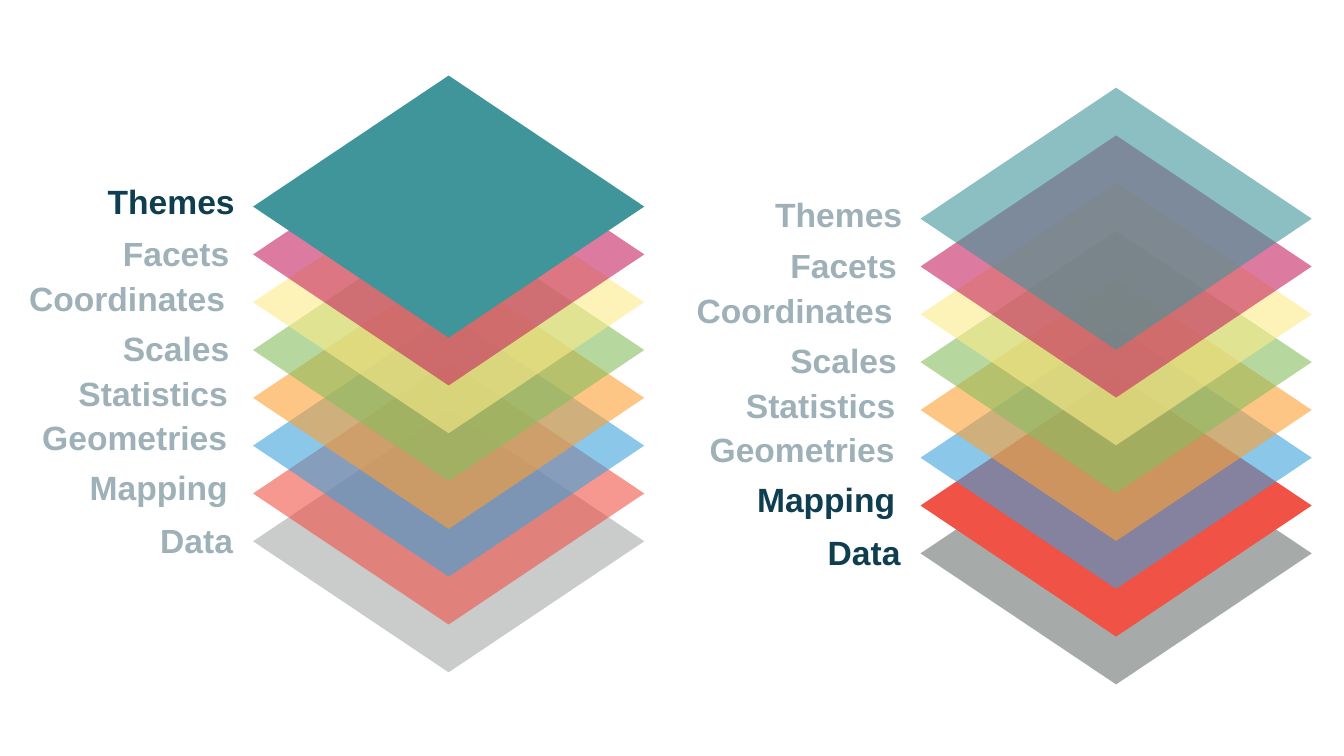
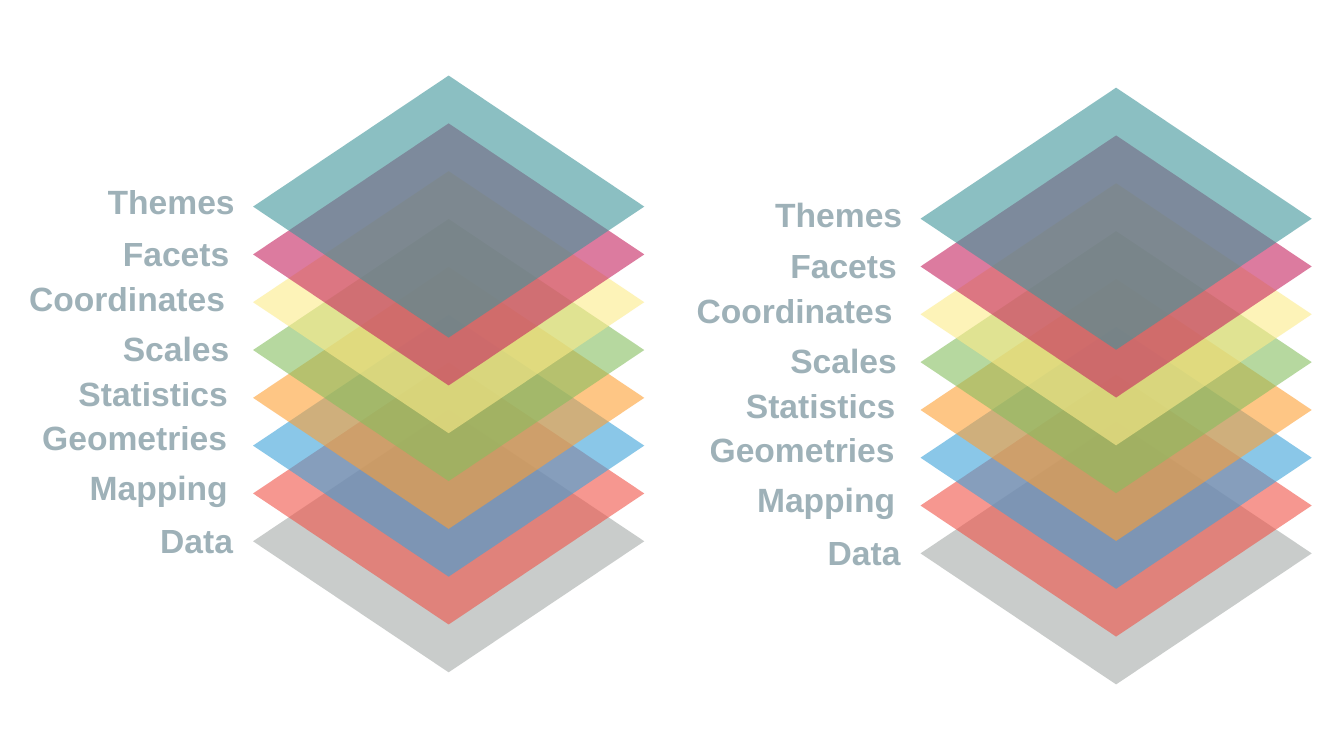
from pptx import Presentation
from pptx.dml.color import RGBColor
from pptx.enum.shapes import MSO_SHAPE
from pptx.enum.text import MSO_AUTO_SIZE
from pptx.oxml.ns import qn
from pptx.util import Pt
from lxml.etree import SubElement

PX = 9144  # EMU per px, 100 px to the inch

# Layers from bottom to top: name, fill, label top within the stack, label width
LAYERS = [
    ("Data", "A6AAA9", 436, 95),
    ("Mapping", "F05246", 383, 165),
    ("Geometries", "3CA3DA", 334, 212),
    ("Statistics", "FEA035", 290, 176),
    ("Scales", "86BF5F", 245, 132),
    ("Coordinates", "FDEB8A", 196, 225),
    ("Facets", "C6235F", 151, 132),
    ("Themes", "3F959A", 100, 147),
]

# Left and top of the two stacks on every slide
STACKS = [(251, 75), (913, 87)]

# Highlighted layers: one entry per slide, one set per stack
SLIDES = [
    [{"Themes"}, {"Data", "Mapping"}],
    [set(), set()],
]


def emu(*lengths):
    return [round(v * PX) for v in lengths]


def rgb(value):
    return RGBColor.from_string(value)


def set_opacity(element, percent):
    """Make the colours already set inside an element translucent."""
    if percent < 100:
        for color in element.iter(qn("a:srgbClr")):
            SubElement(color, qn("a:alpha"), val=str(percent * 1000))


def add_text(tf, text, size=24, color="0E3E4F", bold=True, font="Arial", opacity=100):
    r = tf.paragraphs[0].add_run()
    r.text = text
    r.font.name, r.font.size, r.font.bold = font, Pt(size), bold
    r.font.color.rgb = rgb(color)
    set_opacity(tf.paragraphs[0].runs[0].font.fill and tf._element, opacity)


class Deck:
    TILE_W, TILE_H = 388, 260
    RISE = 332 / 7  # vertical step between layers
    LABEL_H, LABEL_GAP = 50, 7
    TILE_OPACITY, LABEL_OPACITY = 60, 40

    def __init__(self):
        self.prs = Presentation()
        self.prs.slide_width, self.prs.slide_height = emu(1333, 750)
        self.s = None

    def new_slide(self):
        self.s = self.prs.slides.add_slide(self.prs.slide_layouts[6])

    def tile(self, shapes, x, y, color, opacity):
        sp = shapes.add_shape(MSO_SHAPE.FLOWCHART_DECISION,
                              *emu(x, y, self.TILE_W, self.TILE_H))
        sp.shadow.inherit = False
        sp.fill.solid()
        sp.fill.fore_color.rgb = rgb(color)
        sp.line.fill.background()
        set_opacity(sp.element, opacity)

    def label(self, shapes, right, y, width, text, opacity):
        box = shapes.add_textbox(*emu(right - width, y, width, self.LABEL_H))
        tf = box.text_frame
        tf.word_wrap = True
        tf.auto_size = MSO_AUTO_SIZE.SHAPE_TO_FIT_TEXT
        add_text(tf, text, opacity=opacity)

    def stack(self, x, y, focus):
        shapes = self.s.shapes.add_group_shape().shapes
        # Tiles, bottom layer first
        for level, (name, color, _, _) in enumerate(LAYERS):
            top = y + (len(LAYERS) - 1 - level) * self.RISE
            self.tile(shapes, x, top, color,
                      100 if name in focus else self.TILE_OPACITY)
        # Labels share one right edge beside the tiles
        for name, _, top, width in LAYERS:
            self.label(shapes, x - self.LABEL_GAP, y + top, width, name,
                       100 if name in focus else self.LABEL_OPACITY)


def main():
    deck = Deck()
    for focuses in SLIDES:
        deck.new_slide()
        for (x, y), focus in zip(STACKS, focuses):
            deck.stack(x, y, focus)
    deck.prs.save("out.pptx")


if __name__ == "__main__":
    main()
